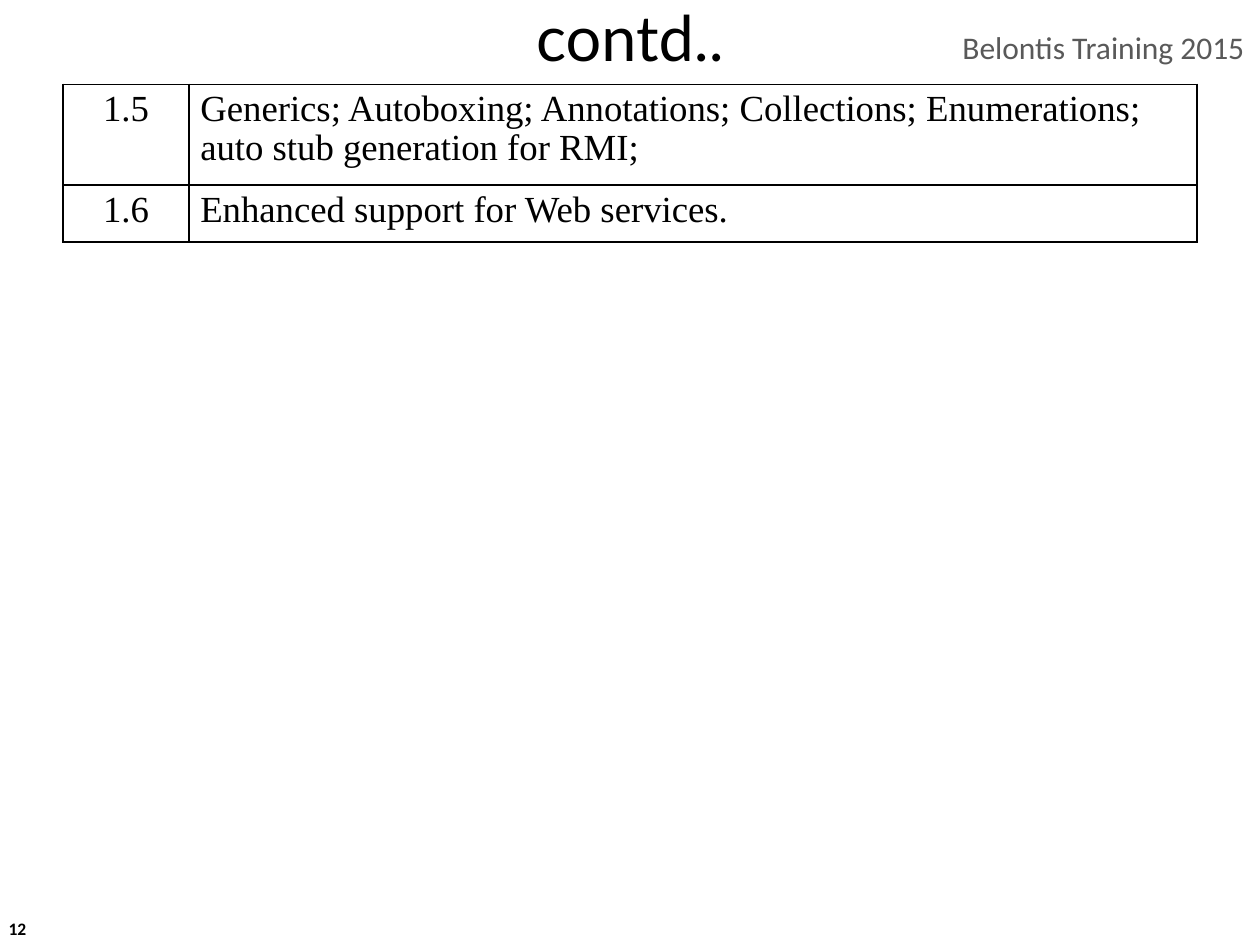
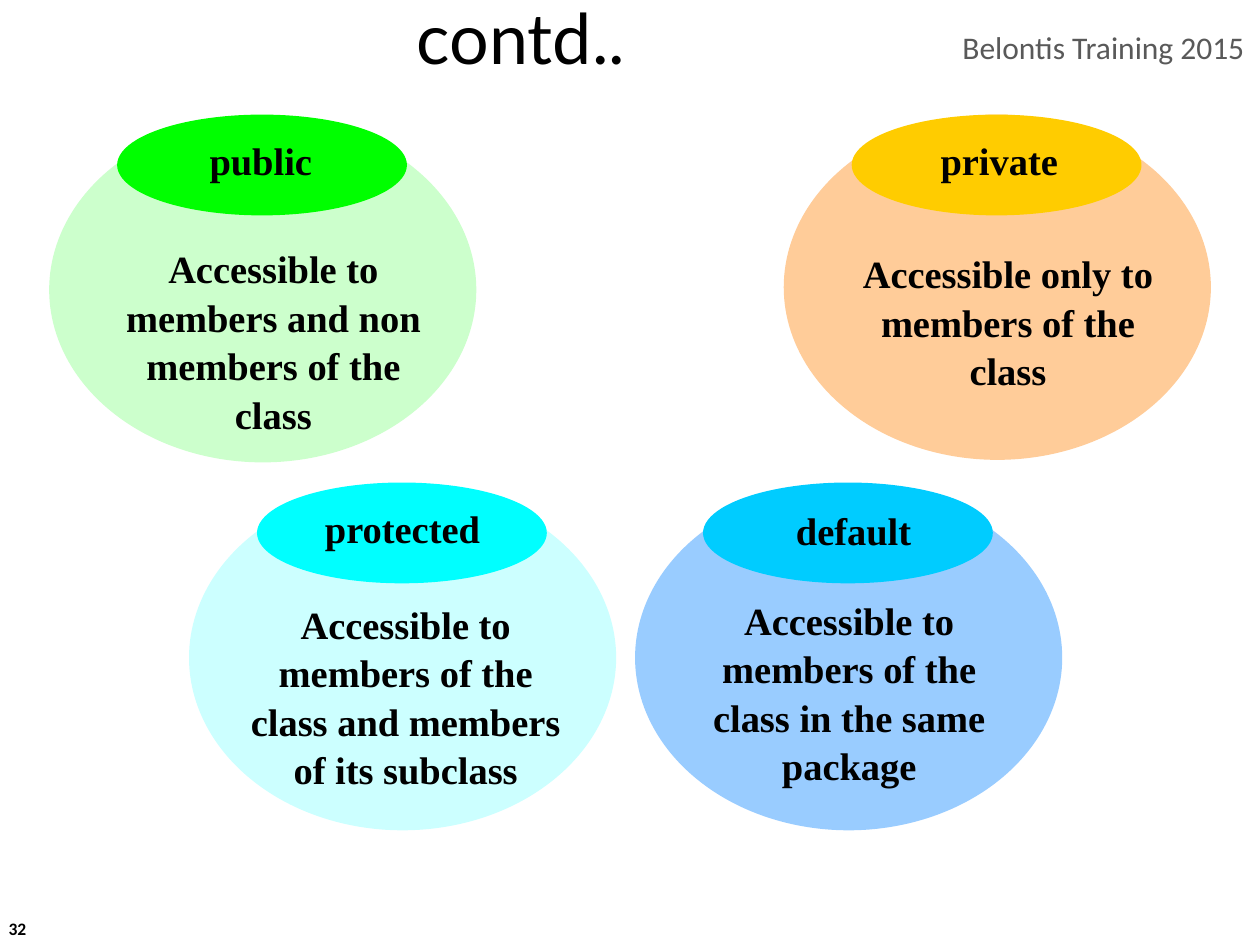
from dataclasses import dataclass

from lxml.etree import SubElement
from pptx import Presentation
from pptx.dml.color import RGBColor
from pptx.enum.shapes import MSO_SHAPE
from pptx.enum.text import MSO_ANCHOR, PP_ALIGN
from pptx.oxml.ns import qn
from pptx.util import Inches, Pt

BLACK, WHITE, GREY = "000000", "FFFFFF", "595959"
TITLE_FONT, FOOTER_FONT, BODY_FONT = "Lato", "Calibri", "Times New Roman"
BODY_SIZE = (3.39, 2.74)
BADGE_SIZE = (2.3, 0.8)
BADGE_INDENT = 0.54
DESCRIPTION_WIDTH = 2.76
LABEL_HEIGHT = 0.47


@dataclass
class AccessLevel:
    """One access modifier; places are (left, top) in inches."""
    name: str
    description: str
    body_color: str
    badge_color: str
    body_at: tuple
    badge_top: float
    label_at: tuple
    label_width: float
    description_at: tuple
    description_height: float


ACCESS_LEVELS = [
    AccessLevel("default", "Accessible to members of the class in the same package",
                "99CCFF", "00CCFF", (5.04, 3.85), 3.83,
                (5.91, 3.96), 1.73, (5.36, 4.67), 1.58),
    AccessLevel("private", "Accessible only to members of the class",
                "FFCC99", "FFCC00", (6.22, 0.91), 0.91,
                (7.22, 1.02), 1.42, (6.62, 1.92), 1.21),
    AccessLevel("protected", "Accessible to members of the class and members of its subclass",
                "CCFFFF", "00FFFF", (1.5, 3.85), 3.83,
                (2.33, 3.94), 1.73, (1.84, 4.7), 1.58),
    AccessLevel("public", "Accessible to members and non members of the class",
                "CCFFCC", "00FF00", (0.39, 0.93), 0.91,
                (1.44, 1.02), 1.26, (0.79, 1.88), 1.58),
]

VERSION_ROWS = [
    (0.8, "1.5", "Generics; Autoboxing; Annotations; Collections; Enumerations; "
                 "auto stub generation for RMI;"),
    (0.45, "1.6", "Enhanced support for Web services."),
]


def rgb(color):
    return RGBColor.from_string(color)


def style_paragraph(paragraph, font, size, color=BLACK, bold=False, align=PP_ALIGN.LEFT):
    paragraph.alignment = align
    paragraph.font.name = font
    paragraph.font.size = Pt(size)
    paragraph.font.bold = bold
    paragraph.font.color.rgb = rgb(color)


def add_text(slide, text, left, top, width, height, font, size,
             anchor=MSO_ANCHOR.TOP, wrap=True, line_spacing=1.0, **style):
    box = slide.shapes.add_textbox(Inches(left), Inches(top), Inches(width), Inches(height))
    frame = box.text_frame
    frame.word_wrap = wrap
    frame.vertical_anchor = anchor
    frame.text = text
    paragraph = frame.paragraphs[0]
    paragraph.line_spacing = line_spacing
    style_paragraph(paragraph, font, size, **style)


def add_ellipse(slide, left, top, size, color):
    width, height = size
    ellipse = slide.shapes.add_shape(
        MSO_SHAPE.OVAL, Inches(left), Inches(top), Inches(width), Inches(height))
    ellipse.shadow.inherit = False
    ellipse.fill.solid()
    ellipse.fill.fore_color.rgb = rgb(color)
    ellipse.line.fill.background()


def add_base_slide(presentation, number, title_width, title_size):
    """Add a slide with its page number, course name and title."""
    slide = presentation.slides.add_slide(presentation.slide_layouts[6])
    add_text(slide, number, -0.03, 7.17, 2.33, 0.4, FOOTER_FONT, 10,
             anchor=MSO_ANCHOR.MIDDLE, bold=True)
    add_text(slide, "Belontis Training 2015", 7.54, 0.17, 2.46, 0.4, FOOTER_FONT, 18,
             wrap=False, color=GREY)
    add_text(slide, "contd..", 0, 0.08, title_width, 0.42, TITLE_FONT, title_size,
             anchor=MSO_ANCHOR.MIDDLE, align=PP_ALIGN.CENTER)
    return slide


def set_borders(cell, color, width):
    properties = cell._tc.get_or_add_tcPr()
    for side in ("a:lnL", "a:lnR", "a:lnT", "a:lnB"):
        line = SubElement(properties, qn(side), w=str(Pt(width)))
        fill = SubElement(line, qn("a:solidFill"))
        SubElement(fill, qn("a:srgbClr"), val=color)


def add_version_table(slide):
    total_height = sum(height for height, *_ in VERSION_ROWS)
    table = slide.shapes.add_table(len(VERSION_ROWS), 2, Inches(0.5), Inches(0.67),
                                   Inches(9), Inches(total_height)).table
    table.first_row = table.horz_banding = False
    for column, width in zip(table.columns, (1, 8)):
        column.width = Inches(width)
    for row, (height, *texts) in zip(table.rows, VERSION_ROWS):
        row.height = Inches(height)
        for cell, text, align in zip(row.cells, texts, (PP_ALIGN.CENTER, PP_ALIGN.LEFT)):
            cell.margin_left = cell.margin_right = Inches(0.09)
            cell.margin_top = cell.margin_bottom = Inches(0.05)
            set_borders(cell, BLACK, 1)
            cell.fill.solid()
            cell.fill.fore_color.rgb = rgb(WHITE)
            cell.text = text
            paragraph = cell.text_frame.paragraphs[0]
            paragraph.line_spacing = 0.95
            style_paragraph(paragraph, BODY_FONT, 21, align=align)


def add_access_level(slide, level):
    """Draw a large ellipse with a description and a named badge on top."""
    def add_bold_text(text, place, width, height):
        add_text(slide, text, *place, width, height, BODY_FONT, 22,
                 line_spacing=1.05, bold=True, align=PP_ALIGN.CENTER)

    add_ellipse(slide, *level.body_at, BODY_SIZE, level.body_color)
    add_bold_text(level.description, level.description_at,
                  DESCRIPTION_WIDTH, level.description_height)
    add_ellipse(slide, level.body_at[0] + BADGE_INDENT, level.badge_top,
                BADGE_SIZE, level.badge_color)
    add_bold_text(level.name, level.label_at, level.label_width, LABEL_HEIGHT)


def main():
    presentation = Presentation()
    presentation.slide_width = Inches(10)
    presentation.slide_height = Inches(7.5)

    versions_slide = add_base_slide(presentation, "12", title_width=10, title_size=36)
    add_version_table(versions_slide)

    access_slide = add_base_slide(presentation, "32", title_width=8.27, title_size=40)
    for level in ACCESS_LEVELS:
        add_access_level(access_slide, level)

    presentation.save("out.pptx")


if __name__ == "__main__":
    main()
